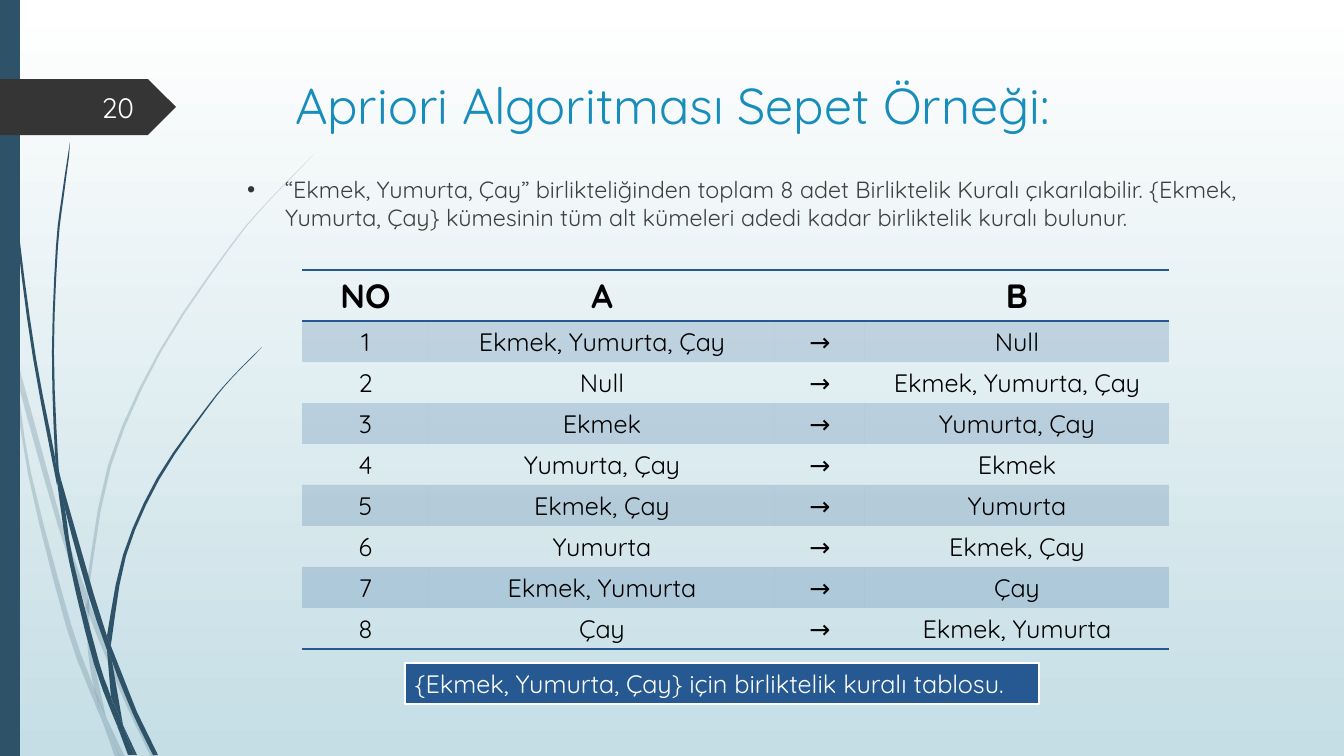
from lxml.etree import SubElement
from pptx import Presentation
from pptx.dml.color import RGBColor
from pptx.enum.shapes import MSO_SHAPE as Shape
from pptx.enum.text import MSO_ANCHOR as Anchor, MSO_AUTO_SIZE as AutoSize, PP_ALIGN as Align
from pptx.oxml.ns import qn
from pptx.util import Emu, Pt

TITLE = "Apriori Algoritması Sepet Örneği:"
BODY = (
    "“Ekmek, Yumurta, Çay” birlikteliğinden toplam 8 adet Birliktelik Kuralı çıkarılabilir. "
    "{Ekmek, Yumurta, Çay} kümesinin tüm alt kümeleri adedi kadar birliktelik kuralı bulunur."
)
CAPTION = "{Ekmek, Yumurta, Çay} için birliktelik kuralı tablosu."
PAGE_NUMBER = "20"
HEADER = ("NO", "A", "", "B")
RULES = [
    ("Ekmek, Yumurta, Çay", "Null"),
    ("Null", "Ekmek, Yumurta, Çay"),
    ("Ekmek", "Yumurta, Çay"),
    ("Yumurta, Çay", "Ekmek"),
    ("Ekmek, Çay", "Yumurta"),
    ("Yumurta", "Ekmek, Çay"),
    ("Ekmek, Yumurta", "Çay"),
    ("Çay", "Ekmek, Yumurta"),
]
COLUMN_WIDTHS = (127, 346, 90, 304)
HEADER_HEIGHT, ROW_HEIGHT = 51, 41

FONT = "Quicksand"
NAVY, BLUE, DARK, WHITE = "2E5369", "265991", "353535", "FFFFFF"
PALE = 20

PALE_BLADES = [
    ([(0, 301), (10, 347), (11, 353)], [(0, 284), (9, 325), (11, 353)]),
    ([(14, 348), (17, 379), (58, 526), (85, 604)], [(14, 348), (62, 524), (86, 591)]),
    ([(89, 601), (89, 615), (124, 700), (151, 757)], [(89, 601), (93, 612), (128, 698), (156, 757)]),
    ([(106, 717), (120, 757)], [(106, 717), (125, 757)]),
    ([(11, 353), (28, 474), (66, 626), (93, 699), (102, 720)],
     [(11, 353), (17, 379), (31, 473), (71, 624), (94, 688), (100, 713)]),
    ([(85, 604), (88, 651), (94, 688), (106, 717)], [(85, 604), (89, 615), (92, 651), (106, 717)]),
    ([(314, 154), (270, 199), (230, 246), (159, 351), (108, 465), (86, 589)],
     [(314, 155), (270, 200), (231, 247), (161, 352), (111, 466), (89, 589), (89, 601)]),
    ([(102, 720), (115, 757)], [(102, 720), (120, 757)]),
    ([(86, 591), (85, 604), (89, 615)], [(86, 591), (89, 601), (89, 615)]),
    ([(94, 688), (102, 720), (120, 757)], [(94, 688), (106, 717), (120, 757)]),
]
NAVY_BLADES = [
    ([(3, 0), (7, 111), (17, 235), (33, 358), (57, 485)],
     [(4, 0), (8, 110), (19, 234), (36, 358), (55, 457), (57, 485)]),
    ([(60, 476), (65, 509), (89, 597), (107, 650)], [(60, 476), (94, 595), (107, 636)]),
    ([(111, 646), (112, 661), (133, 714), (153, 755)], [(111, 646), (137, 712), (158, 755)]),
    ([(57, 481), (69, 561), (94, 664), (118, 728)],
     [(57, 481), (65, 509), (73, 560), (99, 662), (111, 697), (118, 728)]),
    ([(70, 142), (62, 195), (56, 247), (52, 352), (55, 453), (60, 476)],
     [(71, 142), (64, 195), (58, 247), (54, 352), (58, 457), (60, 476)]),
    ([(123, 725), (134, 755)], [(123, 725), (137, 755)]),
    ([(55, 453), (57, 481), (65, 509)], [(55, 453), (60, 476), (65, 509)]),
    ([(262, 347), (233, 376), (206, 408), (157, 478), (123, 555), (107, 636)],
     [(263, 347), (233, 377), (207, 409), (159, 480), (126, 556), (112, 638), (111, 646)]),
    ([(118, 728), (128, 755)], [(118, 728), (132, 755)]),
    ([(107, 650), (111, 697), (123, 725)], [(107, 650), (112, 661), (123, 725)]),
    ([(107, 636), (107, 650), (112, 661)], [(107, 636), (111, 646), (112, 661)]),
    ([(111, 697), (118, 728), (131, 755)], [(111, 697), (123, 725), (134, 755)]),
]


def px(length):
    return Emu(round(length * 914400 / 100.8))


def place(left, top, width, height):
    return px(left), px(top), px(width), px(height)


def color(code):
    return RGBColor.from_string(code)


def fill_solid(fill, code, opacity=100):
    fill.solid()
    fill.fore_color.rgb = color(code)
    if opacity < 100:
        tint = fill._xPr.find(qn("a:solidFill"))[0]
        SubElement(tint, qn("a:alpha"), val=str(opacity * 1000))


def write(frame, text, size, code, align=Align.LEFT, bold=False):
    frame.text = text
    para = frame.paragraphs[0]
    para.alignment = align
    for span in para.runs:
        span.font.name = FONT
        span.font.size = Pt(size)
        span.font.bold = bold
        span.font.color.rgb = color(code)
    return para


def smooth(points):
    steps = 3 if len(points) > 3 else 1
    padded = [points[0], *points, points[-1]]
    curve = []
    for a, b, c, d in zip(padded, padded[1:], padded[2:], padded[3:]):
        for step in range(steps):
            t = step / steps
            curve.append(tuple(
                px((2 * q + (r - p) * t + (2 * p - 5 * q + 4 * r - s) * t ** 2
                    + (3 * q - p - 3 * r + s) * t ** 3) / 2)
                for p, q, r, s in zip(a, b, c, d)))
    return curve + [tuple(px(value) for value in points[-1])]


def finish(shape, code, opacity=100):
    shape.shadow.inherit = False
    fill_solid(shape.fill, code, opacity)
    shape.line.fill.background()


def add_blades(page, blades, opacity):
    for left_edge, right_edge in blades:
        outline = smooth(left_edge) + smooth(right_edge)[:0:-1]
        builder = page.shapes.build_freeform(*outline[0])
        builder.add_line_segments(outline[1:], close=True)
        finish(builder.convert_to_shape(), NAVY, opacity)


def add_border(cell, side):
    line = SubElement(cell._tc.get_or_add_tcPr(), qn(f"a:{side}"), w=str(Pt(1)))
    SubElement(SubElement(line, qn("a:solidFill")), qn("a:srgbClr"), val=BLUE)


def add_rules(page):
    rows = [HEADER] + [(str(n), a, "→", b) for n, (a, b) in enumerate(RULES, 1)]
    height = HEADER_HEIGHT + ROW_HEIGHT * len(RULES)
    table = page.shapes.add_table(
        len(rows), len(HEADER), *place(302, 270, sum(COLUMN_WIDTHS), height)).table
    table.first_row = table.horz_banding = False
    table._tbl.tblPr[0].text = "{2D5ABB26-0587-4C30-8999-92F81FD0307C}"
    for column, width in zip(table.columns, COLUMN_WIDTHS):
        column.width = px(width)
    for r, texts in enumerate(rows):
        head = r == 0
        table.rows[r].height = px(HEADER_HEIGHT if head else ROW_HEIGHT)
        for c, text in enumerate(texts):
            cell = table.cell(r, c)
            write(cell.text_frame, text, 24 if head else 18, "000000", Align.CENTER, head)
            if head:
                add_border(cell, "lnT")
            if head or r == len(RULES):
                add_border(cell, "lnB")
            if r % 2:
                fill_solid(cell.fill, BLUE, PALE)
            else:
                cell.fill.background()


def add_text(page):
    title, body = page.placeholders
    title.left, title.top, title.width, title.height = place(285, 69, 983, 141)
    body.left, body.top, body.width, body.height = place(237, 170, 1015, 81)
    for box in (title, body):
        box.text_frame.auto_size = AutoSize.NONE
        box.text_frame.vertical_anchor = Anchor.TOP
    write(title.text_frame, TITLE, 36, "178DBB")
    para = write(body.text_frame, BODY, 16.7, "404040")
    para.space_before = Pt(10)
    para.line_spacing = 1.0
    props = para._p.get_or_add_pPr()
    props.set("marL", str(px(38)))
    props.set("indent", str(-px(38)))
    SubElement(SubElement(props, qn("a:buClr")), qn("a:srgbClr"), val=DARK)
    SubElement(props, qn("a:buFont"), typeface="Arial")
    SubElement(props, qn("a:buChar"), char="•")


def add_frame(page):
    finish(page.shapes.add_shape(Shape.RECTANGLE, *place(0, 0, 20, 756)), NAVY)
    finish(page.shapes.add_shape(Shape.PENTAGON, *place(0, 79, 176, 56)), DARK)
    number = page.shapes.add_textbox(*place(58, 87, 86, 40)).text_frame
    number.word_wrap = True
    number.vertical_anchor = Anchor.MIDDLE
    write(number, PAGE_NUMBER, 20, "FEFFFF", Align.RIGHT)


def add_caption(page):
    caption = page.shapes.add_shape(Shape.RECTANGLE, *place(405, 663, 634, 41))
    finish(caption, BLUE)
    caption.line.color.rgb = color(WHITE)
    caption.line.width = Pt(1.75)
    caption.text_frame.word_wrap = True
    write(caption.text_frame, CAPTION, 18, WHITE)


def main():
    deck = Presentation()
    deck.slide_width, deck.slide_height = px(1344), px(756)
    page = deck.slides.add_slide(deck.slide_layouts[1])
    backdrop = page.background.fill
    backdrop.gradient()
    backdrop.gradient_angle = 270
    for stop, code in zip(backdrop.gradient_stops, (WHITE, "C5DEE5")):
        stop.color.rgb = color(code)
    add_blades(page, PALE_BLADES, PALE)
    add_blades(page, NAVY_BLADES, 100)
    add_frame(page)
    add_text(page)
    add_rules(page)
    add_caption(page)
    deck.save("out.pptx")


if __name__ == "__main__":
    main()
